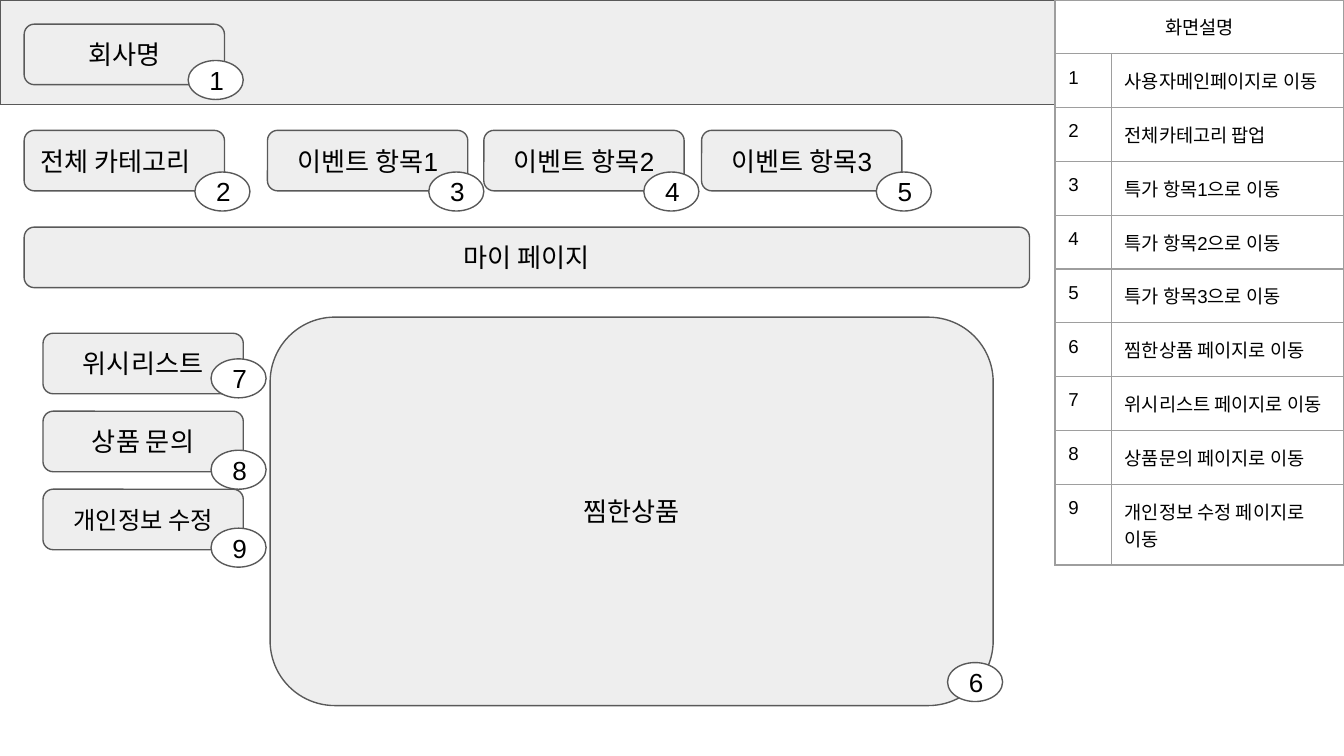
from lxml import etree
from pptx import Presentation
from pptx import util as u
from pptx.dml.color import RGBColor
from pptx.enum import shapes, text
from pptx.oxml.ns import qn

LEFT, CENTER = text.PP_ALIGN.LEFT, text.PP_ALIGN.CENTER
TOP, MIDDLE = text.MSO_ANCHOR.TOP, text.MSO_ANCHOR.MIDDLE


def color(value):
    """Turn a hex string into a colour."""
    return RGBColor.from_string(value)


def write(frame, words, size=14, align=CENTER, font="Arial", ink="000000"):
    """Put one formatted paragraph into a text frame."""
    paragraph = frame.paragraphs[0]
    paragraph.alignment = align
    run = paragraph.add_run()
    run.text = words
    run.font.size = u.Pt(size)
    run.font.name = font
    run.font.color.rgb = color(ink)


def set_insets(holder, inset=0.1):
    """Give a text frame or a cell equal margins."""
    holder.margin_left = holder.margin_right = u.Inches(inset)
    holder.margin_top = holder.margin_bottom = u.Inches(inset)


def set_borders(cell, ink, width):
    """Draw all four borders of a table cell."""
    properties = cell._tc.get_or_add_tcPr()
    for position, side in enumerate(("a:lnL", "a:lnR", "a:lnT", "a:lnB")):
        line = etree.Element(qn(side), w=str(u.Pt(width)))
        fill = etree.SubElement(line, qn("a:solidFill"))
        etree.SubElement(fill, qn("a:srgbClr"), val=ink)
        properties.insert(position, line)


class Wireframe:
    """Holds the style and the current slide."""

    panel, paper, outline, grid = "EEEEEE", "FFFFFF", "595959", "9E9E9E"

    def __init__(self, slide):
        self.slide = slide

    def shape(self, kind, at, fill, words="", **style):
        """Add an outlined shape with optional text."""
        shape = self.slide.shapes.add_shape(kind, *map(u.Inches, at))
        shape.shadow.inherit = False
        shape.fill.solid()
        shape.fill.fore_color.rgb = color(fill)
        shape.line.color.rgb = color(self.outline)
        shape.line.width = u.Pt(0.75)
        if words:
            frame = shape.text_frame
            frame.word_wrap = True
            frame.vertical_anchor = MIDDLE
            set_insets(frame)
            write(frame, words, **style)

    def bar(self, left, top, width, height):
        """Add a plain page band."""
        self.shape(shapes.MSO_SHAPE.RECTANGLE, (left, top, width, height), self.panel)

    def box(self, words, left, top, width=1.49, height=0.45, **style):
        """Add a rounded page element."""
        self.shape(shapes.MSO_SHAPE.ROUNDED_RECTANGLE, (left, top, width, height),
                   self.panel, words, **style)

    def badge(self, number, left, top):
        """Add a numbered marker."""
        self.shape(shapes.MSO_SHAPE.FLOWCHART_CONNECTOR, (left, top, 0.41, 0.29),
                   self.paper, str(number))

    def cell(self, cell, words, align=LEFT):
        """Fill in and format one table cell."""
        cell.fill.background()
        cell.vertical_anchor = TOP
        set_insets(cell)
        write(cell.text_frame, words, size=10, align=align)

    def legend(self, heading, notes, left, top, widths, row_height):
        """Add the table that explains the numbered markers."""
        rows = len(notes) + 1
        table = self.slide.shapes.add_table(
            rows, len(widths), u.Inches(left), u.Inches(top),
            u.Inches(sum(widths)), u.Inches(row_height * rows)).table
        table.first_row = table.horz_banding = False
        for column, width in zip(table.columns, widths):
            column.width = u.Inches(width)
        for row in table.rows:
            row.height = u.Inches(row_height)
        table.cell(0, 0).merge(table.cell(0, 1))
        self.cell(table.cell(0, 0), heading, CENTER)
        for number, note in enumerate(notes, 1):
            self.cell(table.cell(number, 0), str(number))
            self.cell(table.cell(number, 1), note)
        for cell in table.iter_cells():
            set_borders(cell, self.grid, 0.75)


def build():
    """Build the page description slide and save it."""
    deck = Presentation()
    deck.slide_width = u.Inches(10)
    deck.slide_height = u.Inches(10 * 9 / 16)
    page = Wireframe(deck.slides.add_slide(deck.slide_layouts[6]))

    page.bar(0, 0, 7.85, 0.78)
    page.box("회사명", 0.18, 0.18)
    page.box("전체 카테고리", 0.18, 0.97, align=LEFT)
    for event, left in enumerate((1.99, 3.6, 5.22), 1):
        page.box(f"이벤트 항목{event}", left, 0.97)
    page.badge(1, 1.4, 0.45)
    for number, left in enumerate((1.45, 3.19, 4.79, 6.52), 2):
        page.badge(number, left, 1.28)
    page.box("마이 페이지", 0.18, 1.69, width=7.48)

    notes = ["사용자메인페이지로 이동", "전체카테고리 팝업"]
    notes += [f"특가 항목{item}으로 이동" for item in (1, 2, 3)]
    notes += [f"{target} 페이지로 이동"
              for target in ("찜한상품", "위시리스트", "상품문의", "개인정보 수정")]
    page.legend("화면설명", notes, 7.85, 0, (0.42, 1.73), 0.31)

    page.box("찜한상품", 2.01, 2.36, width=5.38, height=2.89)
    menu = (("위시리스트", 14), ("상품 문의", 14), ("개인정보 수정", 13))
    for index, (entry, size) in enumerate(menu):
        page.box(entry, 0.32, 2.48 + 0.58 * index, size=size)
    page.badge(6, 7.05, 4.93)
    for number, top in enumerate((2.67, 3.35, 3.93), 7):
        page.badge(number, 1.57, top)

    deck.save("out.pptx")


build()
